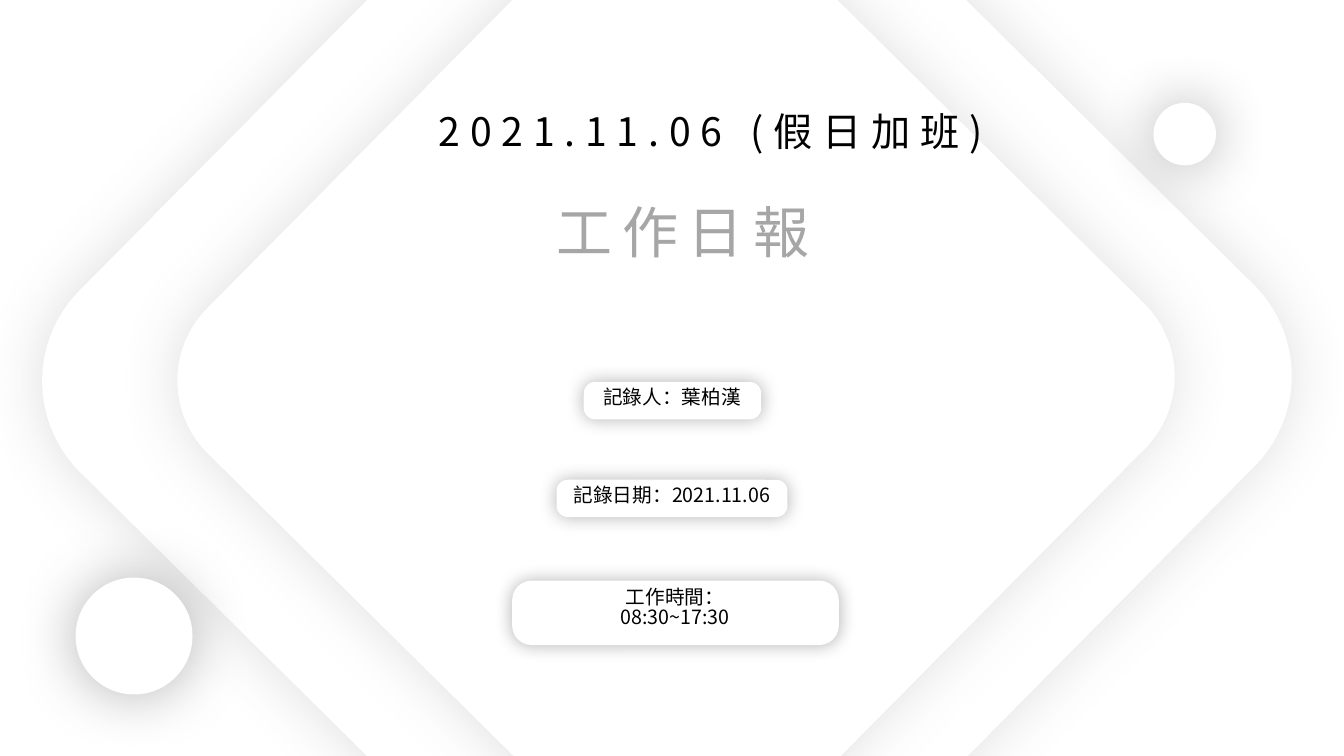
from dataclasses import dataclass

from lxml import etree
from pptx import Presentation
from pptx.dml.color import RGBColor
from pptx.enum.shapes import MSO_SHAPE
from pptx.enum.text import MSO_AUTO_SIZE, PP_ALIGN
from pptx.oxml.ns import qn
from pptx.util import Inches, Pt

ROUNDED = MSO_SHAPE.ROUNDED_RECTANGLE
CIRCLE = MSO_SHAPE.OVAL
CENTER = PP_ALIGN.CENTER
GROW = MSO_AUTO_SIZE.SHAPE_TO_FIT_TEXT


@dataclass(frozen=True)
class Shadow:
    color: str
    opacity: int
    blur: int


@dataclass(frozen=True)
class Theme:
    font: str = "Noto Sans CJK SC"
    surface: str = "FFFFFF"
    ink: str = "000000"
    muted: str = "A6A6A6"
    date_size: int = 28
    title_size: int = 40
    label_size: int = 14
    tracking: int = 7
    line_spacing: float = 0.85
    diamond_shadow: Shadow = Shadow("595959", 19, 43)
    circle_shadow: Shadow = Shadow("000000", 30, 43)
    label_shadow: Shadow = Shadow("000000", 30, 13)


THEME = Theme()


def add_glow(shape, shadow):
    """Give the shape a soft shadow with no offset."""
    shape.shadow.inherit = False
    effects = shape._element.spPr.find(qn("a:effectLst"))
    outer = etree.SubElement(effects, qn("a:outerShdw"), blurRad=str(Pt(shadow.blur)),
                             dist="0", dir="0", algn="ctr", rotWithShape="0")
    color = etree.SubElement(outer, qn("a:srgbClr"), val=shadow.color)
    etree.SubElement(color, qn("a:alpha"), val=str(shadow.opacity * 1000))


def add_panel(parent, kind, box, shadow, corner=None, rotation=0):
    shape = parent.add_shape(kind, *map(Inches, box))
    shape.fill.solid()
    shape.fill.fore_color.rgb = RGBColor.from_string(THEME.surface)
    shape.line.fill.background()
    shape.rotation = rotation
    if corner is not None:
        shape.adjustments[0] = corner
    add_glow(shape, shadow)


def add_text(parent, box, lines, size, color, tracking=0):
    frame = parent.add_textbox(*map(Inches, box)).text_frame
    for name, value in {"word_wrap": True, "auto_size": GROW}.items():
        setattr(frame, name, value)
    for index, line in enumerate(lines):
        para = frame.paragraphs[0] if index == 0 else frame.add_paragraph()
        for name, value in {"alignment": CENTER, "line_spacing": THEME.line_spacing}.items():
            setattr(para, name, value)
        span = para.add_run()
        span.text = line
        for name, value in {"name": THEME.font, "size": Pt(size)}.items():
            setattr(span.font, name, value)
        span.font.color.rgb = RGBColor.from_string(color)
        properties = span._r.get_or_add_rPr()
        etree.SubElement(properties, qn("a:ea"), typeface=THEME.font)
        if tracking:
            properties.set("spc", str(tracking * 100))


def add_label(page, panel_box, text_box, lines):
    """A raised pill grouped with its caption."""
    group = page.shapes.add_group_shape().shapes
    add_panel(group, ROUNDED, panel_box, THEME.label_shadow, corner=0.302)
    add_text(group, text_box, lines, THEME.label_size, THEME.ink)


def main():
    deck = Presentation()
    deck.slide_width, deck.slide_height = Inches(13.33), Inches(7.5)
    page = deck.slides.add_slide(deck.slide_layouts[6])

    # Nested diamonds
    for left, top, side in ((1.86, -1, 9.51), (2.91, -0.04, 7.59)):
        add_panel(page.shapes, ROUNDED, (left, top, side, side),
                  THEME.diamond_shadow, corner=0.134, rotation=44.7)

    # Heading
    add_text(page.shapes, (2.66, 1.09, 8.78, 0.57), ["2021.11.06 (假日加班)"],
             THEME.date_size, THEME.ink, THEME.tracking)
    add_text(page.shapes, (4.4, 2.01, 4.75, 0.77), ["工作日報"],
             THEME.title_size, THEME.muted, THEME.tracking)

    # Corner circles
    for left, top, side in ((0.75, 5.73, 1.16), (11.44, 1.02, 0.62)):
        add_panel(page.shapes, CIRCLE, (left, top, side, side), THEME.circle_shadow)

    # Record details
    add_label(page, (5.79, 3.79, 1.76, 0.37), (5.62, 3.81, 2.09, 0.34), ["記錄人：葉柏漢"])
    add_label(page, (5.52, 4.76, 2.29, 0.37), (5.46, 4.78, 2.41, 0.34),
              ["記錄日期：2021.11.06"])
    add_label(page, (5.08, 5.76, 3.24, 0.64), (4.99, 5.79, 3.41, 0.57),
              ["工作時間：", "08:30~17:30"])

    deck.save("out.pptx")


if __name__ == "__main__":
    main()
